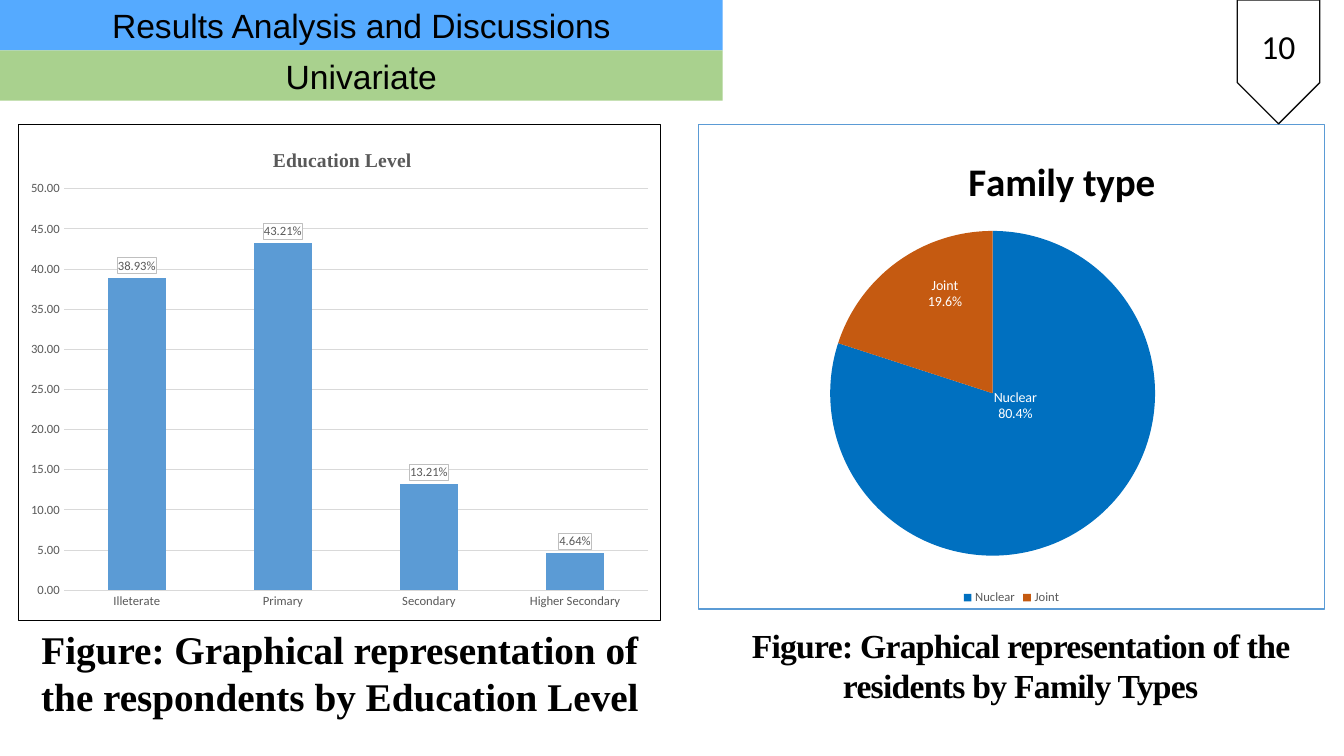
import pptx
import pptx.chart.data
import pptx.dml.color
import pptx.enum.chart
import pptx.enum.shapes
import pptx.enum.text
import pptx.oxml
import pptx.oxml.ns
import pptx.util

Cm, Pt = pptx.util.Cm, pptx.util.Pt
CHART = pptx.enum.chart
CENTER = pptx.enum.text.PP_ALIGN.CENTER
MIDDLE = pptx.enum.text.MSO_ANCHOR.MIDDLE
SHAPES = pptx.enum.shapes.MSO_SHAPE

BAND = {"name": "Arial", "size": Pt(24), "bold": False}
PAGE = {"name": "Calibri", "size": Pt(24)}
CAPTION = {"name": "Times New Roman", "size": Pt(28), "bold": True}
CHART_TEXT = {"name": "Calibri", "size": Pt(10), "bold": False}
SMALL_TEXT = {"name": "Calibri", "size": Pt(9), "bold": False}
EDUCATION_TITLE = {"name": "Times New Roman", "size": Pt(14), "bold": True}
FAMILY_TITLE = {"name": "Calibri", "size": Pt(28), "bold": True}


def rgb(hex_code):
    return pptx.dml.color.RGBColor.from_string(hex_code)


def apply_font(font, style, color):
    for attribute, value in style.items():
        setattr(font, attribute, value)
    font.color.rgb = rgb(color)


def write(frame, text, style, color="000000"):
    frame.text = text
    for paragraph in frame.paragraphs:
        paragraph.alignment = CENTER
        for run in paragraph.runs:
            apply_font(run.font, style, color)


def set_layout(parent, index, **values):
    """Give a chart part a manual layout, in fractions of the chart."""
    for old in parent.findall(pptx.oxml.ns.qn("c:layout")):
        parent.remove(old)
    items = "".join(f'<c:{key} val="{value}"/>' for key, value in values.items())
    parent.insert(index, pptx.oxml.parse_xml(
        f'<c:layout {pptx.oxml.ns.nsdecls("c")}><c:manualLayout>'
        f'{items}</c:manualLayout></c:layout>'))


def white_box(border, points):
    return pptx.oxml.parse_xml(
        f'<c:spPr {pptx.oxml.ns.nsdecls("c", "a")}>'
        '<a:solidFill><a:srgbClr val="FFFFFF"/></a:solidFill>'
        f'<a:ln w="{Pt(points)}"><a:solidFill><a:srgbClr val="{border}"/>'
        '</a:solidFill></a:ln></c:spPr>')


def add_header(slide, left, top, width, height):
    band_height = height / 2
    title = slide.shapes.title
    subtitle = slide.shapes.add_shape(
        SHAPES.RECTANGLE, Cm(left), Cm(top + band_height), Cm(width), Cm(band_height))
    subtitle.shadow.inherit = False
    subtitle.line.fill.background()
    title.left, title.top = Cm(left), Cm(top)
    title.width, title.height = Cm(width), Cm(band_height)
    bands = ((title, "Results Analysis and Discussions", "55AAFF"),
             (subtitle, "Univariate", "A9D18E"))
    for band, text, color in bands:
        band.fill.solid()
        band.fill.fore_color.rgb = rgb(color)
        band.text_frame.vertical_anchor = MIDDLE
        write(band.text_frame, text, BAND)


def add_page_tag(slide, left, top, width, height):
    """Place a downward pentagon that fills the box, with the page number on it."""
    group = slide.shapes.add_group_shape()
    tag = group.shapes.add_shape(
        SHAPES.PENTAGON, Cm(left + (width - height) / 2),
        Cm(top + (height - width) / 2), Cm(height), Cm(width))
    tag.rotation = 90
    tag.shadow.inherit = False
    tag.fill.background()
    tag.line.color.rgb = rgb("0D0D0D")
    tag.line.width = Pt(1)
    number = group.shapes.add_textbox(
        Cm(left + 0.35), Cm(top + 0.53), Cm(width - 0.7), Cm(1.09))
    write(number.text_frame, "10", PAGE)


def add_caption(slide, left, top, width, height, text, size=28, spacing=0):
    frame = slide.shapes.add_textbox(
        Cm(left), Cm(top), Cm(width), Cm(height)).text_frame
    frame.word_wrap = True
    write(frame, text, CAPTION | {"size": Pt(size)})
    if spacing:
        frame.paragraphs[0].runs[0].font._element.set("spc", str(int(spacing * 100)))


def add_framed_chart(slide, box, kind, values, title, style, color, border):
    chart_data = pptx.chart.data.CategoryChartData()
    chart_data.categories = list(values)
    chart_data.add_series("Series 1", list(values.values()))
    chart = slide.shapes.add_chart(kind, *map(Cm, box), chart_data).chart
    apply_font(chart.font, CHART_TEXT, "000000")
    chart.has_title = True
    write(chart.chart_title.text_frame, title, style, color)
    chart.chart_title.include_in_layout = False
    chart._chartSpace.chart.addnext(white_box(border, 0.75))
    return chart


def add_education_figure(slide, left, top, width, height):
    chart_height = height - 2.64
    chart = add_framed_chart(
        slide, (left, top, width, chart_height), CHART.XL_CHART_TYPE.COLUMN_CLUSTERED,
        {"Illeterate": 38.93, "Primary": 43.21, "Secondary": 13.21,
         "Higher Secondary": 4.64},
        "Education Level", EDUCATION_TITLE, "595959", "000000")
    chart.has_legend = False
    set_layout(chart.chart_title._element, 1, xMode="edge", yMode="edge", x=0.39, y=0.04)
    set_layout(chart._chartSpace.chart.plotArea, 0, layoutTarget="inner",
               xMode="edge", yMode="edge", x=0.07, y=0.13, w=0.91, h=0.81)

    for axis in (chart.category_axis, chart.value_axis):
        axis.major_tick_mark = CHART.XL_TICK_MARK.NONE
        axis.format.line.fill.background()
        apply_font(axis.tick_labels.font, SMALL_TEXT, "595959")
    scale = chart.value_axis
    for attribute, value in {"minimum_scale": 0, "maximum_scale": 50,
                             "major_unit": 5}.items():
        setattr(scale, attribute, value)
    scale.tick_labels.number_format = "0.00"
    scale.tick_labels.number_format_is_linked = False
    scale.major_gridlines.format.line.color.rgb = rgb("D9D9D9")
    scale.major_gridlines.format.line.width = Pt(0.75)

    plot = chart.plots[0]
    plot.gap_width = 150
    plot.vary_by_categories = False
    levels = plot.series[0]
    levels.format.fill.solid()
    levels.format.fill.fore_color.rgb = rgb("5B9BD5")
    labels = levels.data_labels
    for attribute, value in {"show_value": True, "number_format": '0.00"%"',
                             "number_format_is_linked": False,
                             "position": CHART.XL_LABEL_POSITION.OUTSIDE_END}.items():
        setattr(labels, attribute, value)
    apply_font(labels.font, SMALL_TEXT, "595959")
    labels._element.find(pptx.oxml.ns.qn("c:txPr")).addprevious(white_box("BFBFBF", 0.75))

    add_caption(slide, left, top + chart_height, width, 2.64,
                "Figure: Graphical representation of the respondents by Education Level")


def add_family_figure(slide, left, top, width, height):
    chart = add_framed_chart(
        slide, (left, top, width, height - 2.57), CHART.XL_CHART_TYPE.PIE,
        {"Nuclear": 80, "Joint": 20}, "Family type", FAMILY_TITLE, "000000", "5B9BD5")
    set_layout(chart.chart_title._element, 1, xMode="edge", yMode="edge", x=0.42, y=0.05)
    set_layout(chart._chartSpace.chart.plotArea, 0, layoutTarget="inner",
               xMode="edge", yMode="edge", x=0.03, y=0.22, w=0.88, h=0.67)
    chart.has_legend = True
    chart.legend.position = CHART.XL_LEGEND_POSITION.BOTTOM
    chart.legend.include_in_layout = False
    apply_font(chart.legend.font, SMALL_TEXT, "595959")

    families = chart.plots[0].series[0]
    slices = (("Nuclear\n80.4%", "0070C0", -0.04, -0.11),
              ("Joint\n19.6%", "C55A11", 0, -0.07))
    for index, (text, color, shift_x, shift_y) in enumerate(slices):
        point = families.points[index]
        point.format.fill.solid()
        point.format.fill.fore_color.rgb = rgb(color)
        label = point.data_label
        write(label.text_frame, text, CHART_TEXT, "FFFFFF")
        label.position = CHART.XL_LABEL_POSITION.CENTER
        label_xml = label.text_frame._element.getparent().getparent()
        set_layout(label_xml, 1, x=shift_x, y=shift_y)

    add_caption(slide, left + 1.04, top + height - 2.31, width - 1.62, 2.31,
                "Figure: Graphical representation of the residents by Family Types",
                size=24, spacing=-0.5)


def main():
    deck = pptx.Presentation()
    deck.slide_width, deck.slide_height = Cm(33.87), Cm(19.05)
    slide = deck.slides.add_slide(deck.slide_layouts.get_by_name("Title Only"))
    add_header(slide, 0, 0, 18.21, 2.54)
    add_education_figure(slide, 0.46, 3.12, 16.21, 15.16)
    add_family_figure(slide, 17.58, 3.12, 15.82, 14.81)
    add_page_tag(slide, 31.18, 0, 2.08, 3.12)
    deck.save("out.pptx")


if __name__ == "__main__":
    main()
